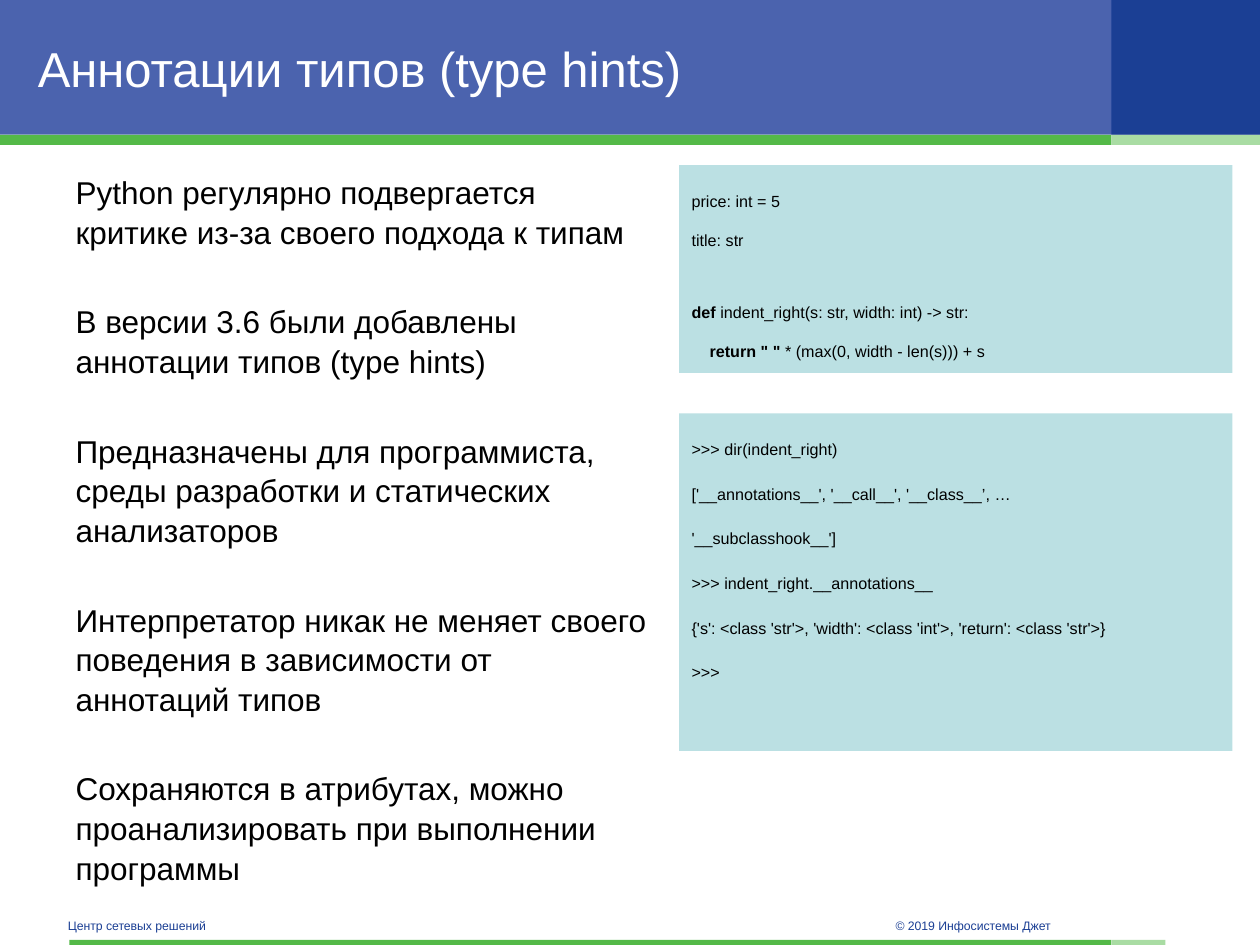
import pptx
import pptx.util
import pptx.dml.color
import pptx.enum.shapes
import pptx.enum.text
import pptx.oxml.ns
import lxml.etree

Inches = pptx.util.Inches
Pt = pptx.util.Pt
ANCHOR = pptx.enum.text.MSO_ANCHOR
COLORS = {
    "header": "4B63AE", "navy": "1B3F94", "green": "54B948",
    "light_green": "A9DCA3", "code": "BBE0E3", "black": "000000", "white": "FFFFFF",
}
BULLETS = [
    "Python регулярно подвергается критике из-за своего подхода к типам",
    "В версии 3.6 были добавлены аннотации типов (type hints)",
    "Предназначены для программиста, среды разработки и статических анализаторов",
    "Интерпретатор никак не меняет своего поведения в зависимости от аннотаций типов",
    "Сохраняются в атрибутах, можно проанализировать при выполнении программы",
]
DEFINITION = [
    (0, [("price: int = 5", False)]),
    (11, [("title: str", False)]),
    (30.5, [("def ", True), ("indent_right(s: str, width: int) -> str:", False)]),
    (11, [("    ", False), ('return " " ', True), ("* (max(0, width - len(s))) + s", False)]),
]
SESSION = [
    ">>> dir(indent_right)",
    "['__annotations__', '__call__', '__class__’, …",
    "'__subclasshook__']",
    ">>> indent_right.__annotations__",
    "{'s': <class 'str'>, 'width': <class 'int'>, 'return': <class 'str'>}",
    ">>>",
]


def rgb(name):
    return pptx.dml.color.RGBColor.from_string(COLORS[name])


def style(r, size, color, bold=False):
    r.font.name = "Arial"
    r.font.size = Pt(size)
    r.font.bold = bold
    r.font.color.rgb = rgb(color)


def place(sp, left, top, width, height):
    sp.left, sp.top = Inches(left), Inches(top)
    sp.width, sp.height = Inches(width), Inches(height)


def add_bar(s, left, top, width, height, color):
    sp = s.shapes.add_shape(
        pptx.enum.shapes.MSO_SHAPE.RECTANGLE,
        Inches(left), Inches(top), Inches(width), Inches(height))
    sp.shadow.inherit = False
    sp.fill.solid()
    sp.fill.fore_color.rgb = rgb(color)
    sp.line.fill.background()
    return sp


def add_code(s, top, height, lines):
    tf = add_bar(s, 5.39, top, 4.39, height, "code").text_frame
    tf.word_wrap = True
    tf.vertical_anchor = ANCHOR.TOP
    tf.margin_top = Inches(0.21)
    for i, (before, parts) in enumerate(lines):
        p = tf.paragraphs[0] if i == 0 else tf.add_paragraph()
        p.alignment = pptx.enum.text.PP_ALIGN.LEFT
        p.space_before = Pt(before)
        for text, bold in parts:
            r = p.add_run()
            r.text = text
            style(r, 9.2, "black", bold)


def add_footer(s, left, width, text):
    tf = s.shapes.add_textbox(Inches(left), Inches(7.25), Inches(width), Inches(0.2)).text_frame
    tf.word_wrap = True
    tf.vertical_anchor = ANCHOR.MIDDLE
    tf.margin_top = tf.margin_bottom = 0
    tf.text = text
    style(tf.paragraphs[0].runs[0], 7, "navy")


def fill_title(s, text):
    sp = s.shapes.title
    place(sp, 0.2, 0.14, 8.43, 0.79)
    s.shapes.element.append(sp.element)
    tf = sp.text_frame
    tf.text = text
    tf.auto_size = pptx.enum.text.MSO_AUTO_SIZE.NONE
    tf.vertical_anchor = ANCHOR.MIDDLE
    p = tf.paragraphs[0]
    p.alignment = pptx.enum.text.PP_ALIGN.LEFT
    style(p.runs[0], 28, "white")


def fill_body(s, items):
    sp = s.placeholders[1]
    place(sp, 0.5, 1.31, 4.74, 5.75)
    tf = sp.text_frame
    tf.auto_size = pptx.enum.text.MSO_AUTO_SIZE.NONE
    tf.text = "\n".join(items)
    for i, p in enumerate(tf.paragraphs):
        pPr = p._p.get_or_add_pPr()
        pPr.set("marL", "0")
        pPr.set("indent", "0")
        lxml.etree.SubElement(pPr, pptx.oxml.ns.qn("a:buNone"))
        p.line_spacing = 1.05
        p.space_before = Pt(28.5 if i else 0)
        style(p.runs[0], 18, "black")


def main():
    prs = pptx.Presentation()
    prs.slide_width, prs.slide_height = Inches(10), Inches(7.5)
    s = prs.slides.add_slide(prs.slide_layouts[1])
    add_bar(s, 0, 0, 10, 1.07, "header")
    add_bar(s, 8.82, 0, 1.18, 1.07, "navy")
    add_bar(s, 0, 1.07, 8.82, 0.08, "green")
    add_bar(s, 8.82, 1.07, 1.18, 0.08, "light_green")
    add_bar(s, 0.55, 7.46, 8.27, 0.04, "green")
    add_bar(s, 8.82, 7.46, 0.43, 0.04, "light_green")
    add_footer(s, 7.01, 2.36, "© 2019 Инфосистемы Джет")
    add_footer(s, 0.44, 3.3, "Центр сетевых решений")
    fill_title(s, "Аннотации типов (type hints)")
    fill_body(s, BULLETS)
    add_code(s, 1.31, 1.65, DEFINITION)
    add_code(s, 3.28, 2.68, [(14.4 if i else 0, [(t, False)]) for i, t in enumerate(SESSION)])
    prs.save("out.pptx")


if __name__ == "__main__":
    main()
